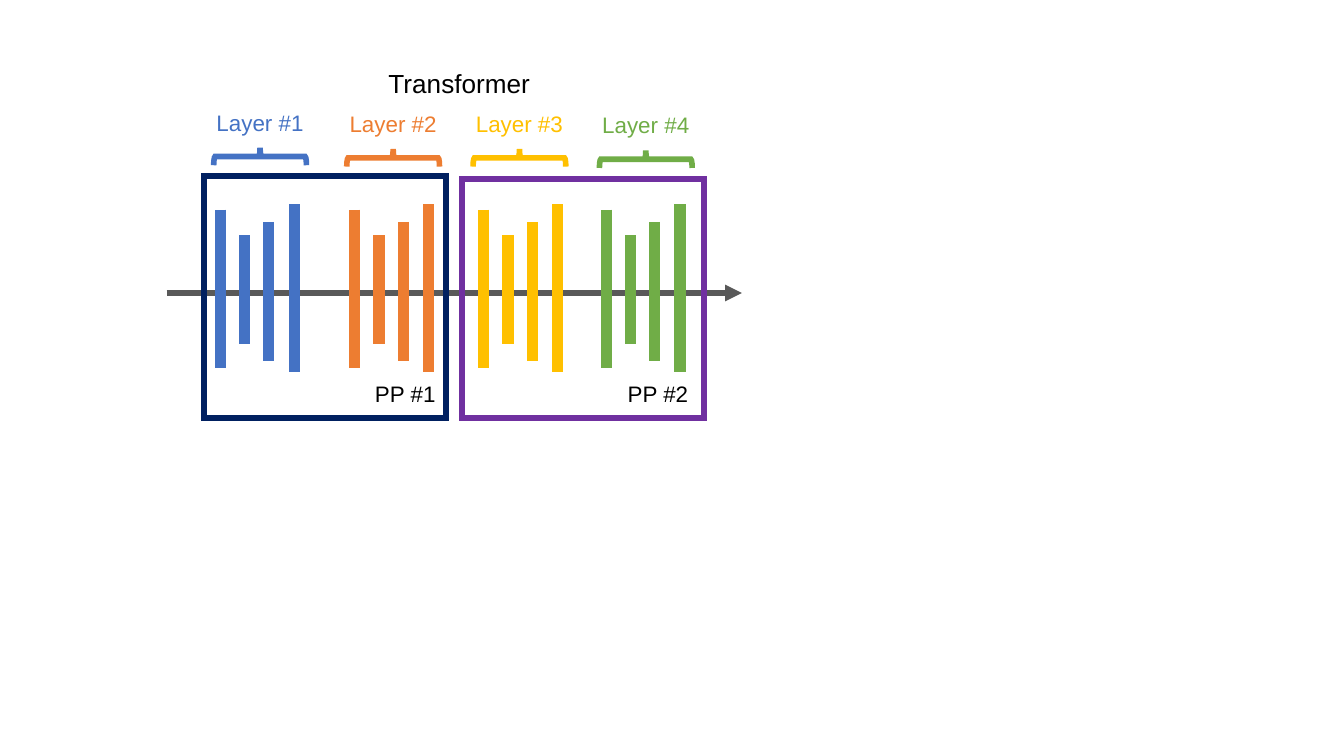
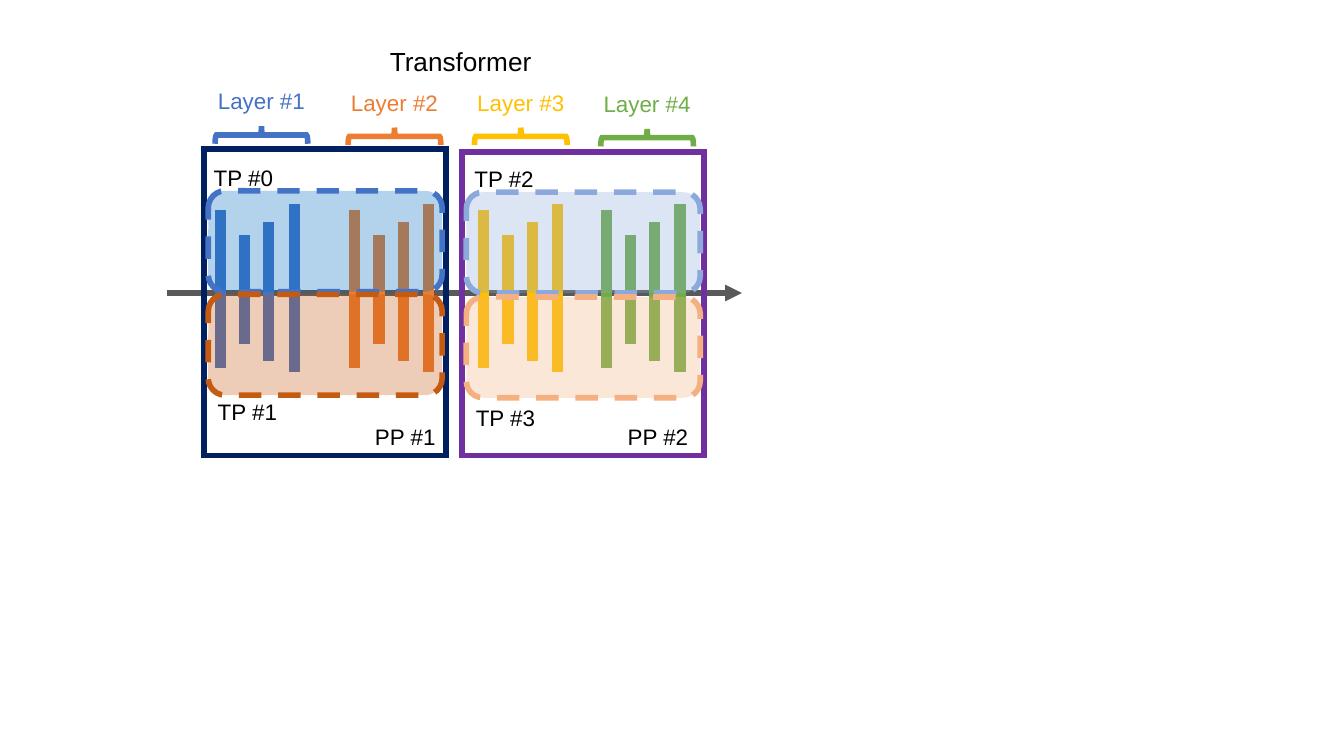
from typing import NamedTuple

from lxml import etree
from pptx import Presentation
from pptx.dml.color import RGBColor
from pptx.enum.dml import MSO_LINE_DASH_STYLE as Dash
from pptx.enum.shapes import MSO_CONNECTOR_TYPE as Connector, MSO_SHAPE as Shape
from pptx.enum.text import MSO_ANCHOR as Anchor, MSO_AUTO_SIZE as AutoSize, PP_ALIGN as Align
from pptx.oxml.ns import qn
from pptx.util import Inches, Pt

FONT = "Arial"
BLACK = RGBColor(0x00, 0x00, 0x00)
GRAY = RGBColor(0x59, 0x59, 0x59)
NAVY = RGBColor(0x00, 0x20, 0x60)
PURPLE = RGBColor(0x70, 0x30, 0xA0)
BLUE = RGBColor(0x44, 0x72, 0xC4)
ORANGE = RGBColor(0xED, 0x7D, 0x31)
GOLD = RGBColor(0xFF, 0xC0, 0x00)
GREEN = RGBColor(0x70, 0xAD, 0x47)
SKY = RGBColor(0x00, 0x70, 0xC0)
RUST = RGBColor(0xC5, 0x5A, 0x11)
PALE_BLUE = RGBColor(0x8D, 0xA9, 0xDB)
PEACH = RGBColor(0xF4, 0xB0, 0x81)

LINE_WIDTH = 3
BAR_WIDTH = 6
LABEL_HEIGHT = 0.28
BRACE_SIZE = (0.13, 0.69)
STAGE_WIDTH = 1.8
SHARD_SIZE = (1.74, 0.75)


class Bar(NamedTuple):
    """A bar, placed from the first bar of its layer."""
    offset: float
    top: float
    bottom: float


class Layer(NamedTuple):
    """A transformer layer."""
    name: str
    color: RGBColor
    first_bar: float
    brace_left: float
    brace_top: float


class Stage(NamedTuple):
    """A pipeline stage."""
    name: str
    color: RGBColor
    left: float
    label_left: float


class Shard(NamedTuple):
    """A tensor-parallel region."""
    name: str
    fill: RGBColor
    color: RGBColor
    position: tuple
    label_position: tuple


BARS = [Bar(0, 1.56, 2.74), Bar(0.18, 1.75, 2.56), Bar(0.36, 1.65, 2.69), Bar(0.55, 1.52, 2.77)]
LAYERS = [
    Layer("Layer #1", BLUE, 1.64, 1.87, 0.82),
    Layer("Layer #2", ORANGE, 2.64, 2.86, 0.83),
    Layer("Layer #3", GOLD, 3.6, 3.8, 0.83),
    Layer("Layer #4", GREEN, 4.51, 4.74, 0.84),
]
STAGES = [Stage("PP #1", NAVY, 1.52, 2.72), Stage("PP #2", PURPLE, 3.44, 4.6)]
SHARDS = [
    Shard("TP #0", SKY, BLUE, (1.55, 1.42), (1.52, 1.18)),
    Shard("TP #1", RUST, RUST, (1.55, 2.19), (1.55, 2.92)),
    Shard("TP #2", PALE_BLUE, PALE_BLUE, (3.47, 1.43), (3.46, 1.19)),
    Shard("TP #3", PEACH, PEACH, (3.47, 2.21), (3.47, 2.97)),
]


def write_text(box, text, size, color, align=Align.LEFT):
    """Fill a box with one formatted line of text."""
    frame = box.text_frame
    frame.word_wrap = True
    frame.auto_size = AutoSize.NONE
    frame.vertical_anchor = Anchor.TOP
    frame.margin_left = frame.margin_right = Inches(0.07)
    frame.margin_top = frame.margin_bottom = Inches(0.04)
    para = frame.paragraphs[0]
    para.alignment = align
    para.line_spacing = 1.0
    para.space_before = Pt(0)
    span = para.add_run()
    span.text = text
    span.font.name = FONT
    span.font.size = Pt(size)
    span.font.color.rgb = color


def add_title(slide, text, left, top):
    """Move and format the title placeholder."""
    title = slide.shapes.title
    title.left, title.top = Inches(left), Inches(top)
    title.width, title.height = Inches(1.21), Inches(0.3)
    write_text(title, text, 14, BLACK)


def add_label(slide, text, left, top, width=0.61, color=BLACK, align=Align.LEFT):
    """Add a one-line label."""
    box = slide.shapes.add_textbox(Inches(left), Inches(top), Inches(width), Inches(LABEL_HEIGHT))
    write_text(box, text, 12, color, align)


def add_line(slide, start, end, color, width):
    """Add a straight line without a shadow and return it."""
    line = slide.shapes.add_connector(Connector.STRAIGHT, *map(Inches, start + end))
    line.line.color.rgb = color
    line.line.width = Pt(width)
    etree.SubElement(line.element.spPr, qn("a:effectLst"))
    return line


def add_flow_arrow(slide):
    """Add the arrow that runs through all layers."""
    arrow = add_line(slide, (1.24, 2.18), (5.52, 2.18), GRAY, LINE_WIDTH)
    etree.SubElement(arrow.element.spPr.find(qn("a:ln")), qn("a:tailEnd"), type="triangle")


def add_outline(slide, kind, position, size, color):
    """Add an unfilled shape with a sharp coloured outline and return it."""
    shape = slide.shapes.add_shape(kind, *map(Inches, position + size))
    shape.shadow.inherit = False
    shape.fill.background()
    shape.line.color.rgb = color
    shape.line.width = Pt(LINE_WIDTH)
    etree.SubElement(shape.element.spPr.find(qn("a:ln")), qn("a:miter"), lim="800000")
    return shape


def add_layer(slide, layer, shift):
    """Add the bars, brace and label of one layer."""
    for bar in BARS:
        x = layer.first_bar + bar.offset
        add_line(slide, (x, bar.top), (x, bar.bottom), layer.color, BAR_WIDTH)
    left, top = layer.brace_left + shift[0], layer.brace_top + shift[1]
    brace = add_outline(slide, Shape.LEFT_BRACE, (left, top), BRACE_SIZE, layer.color)
    brace.rotation = 90
    add_label(slide, layer.name, left - 0.34, top - 0.05, 0.81, layer.color, Align.CENTER)


def add_shard(slide, shard):
    """Add a translucent dashed region and its label."""
    box = add_outline(slide, Shape.ROUNDED_RECTANGLE, shard.position, SHARD_SIZE, shard.color)
    box.line.dash_style = Dash.DASH
    box.fill.solid()
    box.fill.fore_color.rgb = shard.fill
    fill_color = box.element.spPr.find(qn("a:solidFill")).find(qn("a:srgbClr"))
    etree.SubElement(fill_color, qn("a:alpha"), val="30000")
    add_label(slide, shard.name, *shard.label_position)


def build_slide(deck, stage_tops, stage_bottom, label_top, shift=(0, 0), shards=()):
    """Draw the transformer with its pipeline stages and tensor shards."""
    slide = deck.slides.add_slide(deck.slide_layouts[5])
    add_title(slide, "Transformer", 2.82 + shift[0], 0.46 + shift[1])
    add_flow_arrow(slide)
    for stage, top in zip(STAGES, stage_tops):
        size = (STAGE_WIDTH, stage_bottom - top)
        add_outline(slide, Shape.RECTANGLE, (stage.left, top), size, stage.color)
        add_label(slide, stage.name, stage.label_left, label_top)
    for layer in LAYERS:
        add_layer(slide, layer, shift)
    for shard in shards:
        add_shard(slide, shard)


def main():
    """Build and save the deck."""
    deck = Presentation()
    deck.slide_width = Inches(10)
    deck.slide_height = deck.slide_width * 9 // 16
    build_slide(deck, (1.31, 1.33), 3.11, 2.79)
    build_slide(deck, (1.11, 1.13), 3.39, 3.11, (0.01, -0.16), SHARDS)
    deck.save("out.pptx")


if __name__ == "__main__":
    main()
